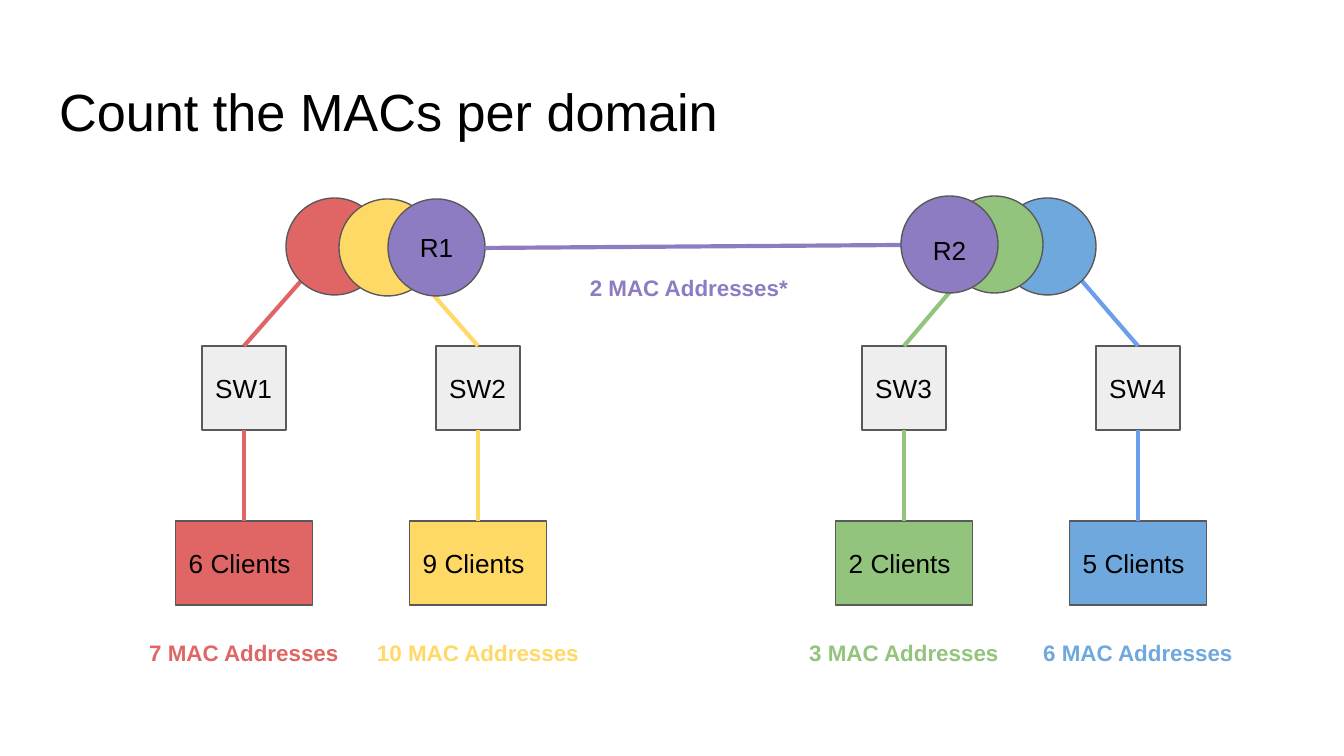
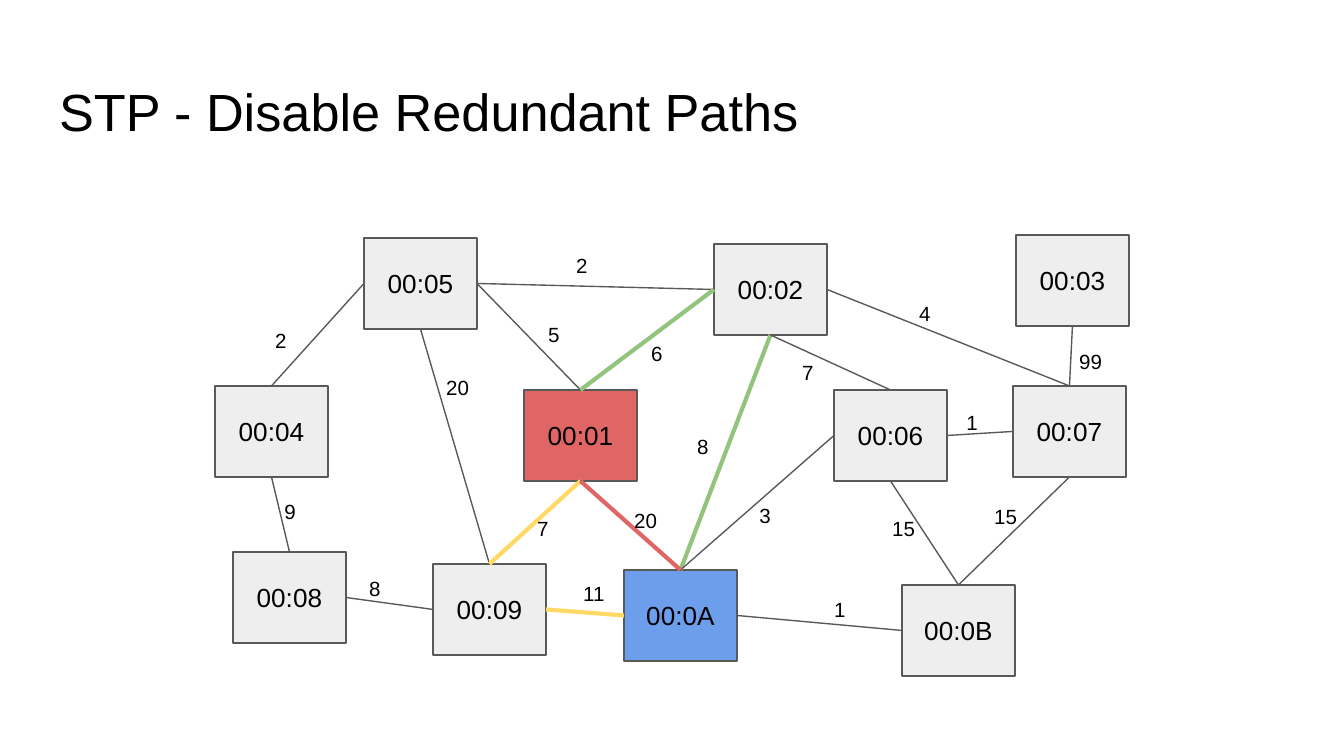
"""Build two network slides: MAC counts per domain and redundant spanning tree paths."""
import dataclasses

import lxml.etree
import pptx
import pptx.dml.color
import pptx.enum.shapes
import pptx.enum.text
import pptx.oxml.ns
import pptx.util


@dataclasses.dataclass(frozen=True)
class Theme:
    font: str = "Arial"
    text: str = "000000"
    outline: str = "595959"
    node: str = "EEEEEE"
    red: str = "E06666"
    yellow: str = "FFD966"
    green: str = "93C47D"
    blue: str = "6FA8DC"
    bright_blue: str = "6D9EEB"
    purple: str = "8E7CC3"
    title_pt: int = 28
    node_pt: int = 14
    count_pt: int = 12
    cost_pt: int = 11
    thin: float = 0.75
    thick: float = 2.25


T = Theme()
SHAPE = pptx.enum.shapes.MSO_SHAPE
ANCHOR = pptx.enum.text.MSO_ANCHOR
ALIGN = pptx.enum.text.PP_ALIGN
SIZE = (1344, 756)
TITLE_BOX = (46, 66, 1253, 85)
INSET = 13.44

MAC_TITLE = "Count the MACs per domain"
BRANCHES = [
    ("SW1", "6 Clients", "7 MAC Addresses", 244, (301, 281), T.red, T.red),
    ("SW2", "9 Clients", "10 MAC Addresses", 478, (422, 282), T.yellow, T.yellow),
    ("SW3", "2 Clients", "3 MAC Addresses", 904, (960, 280), T.green, T.green),
    ("SW4", "5 Clients", "6 MAC Addresses", 1138, (1082, 281), T.blue, T.bright_blue),
]
PORTS = [
    ("", 286, 198, T.red, ANCHOR.MIDDLE),
    ("", 339, 199, T.yellow, ANCHOR.MIDDLE),
    ("", 999, 198, T.blue, ANCHOR.MIDDLE),
    ("", 946, 196, T.green, ANCHOR.MIDDLE),
    ("R1", 388, 199, T.purple, ANCHOR.MIDDLE),
    ("R2", 901, 196, T.purple, ANCHOR.BOTTOM),
]
PORT_SIZE = 97
ROUTER_LINK = ((486, 248), (901, 245))
ROUTER_COUNT = ("2 MAC Addresses*", 570, 261)
SWITCH_TOP, SWITCH_SIZE = 346, 84
CLIENT_TOP, CLIENT_W, CLIENT_H = 521, 137, 84
COUNT_TOP, COUNT_W, COUNT_H = 626, 238, 56

STP_TITLE = "STP - Disable Redundant Paths"
NODE_W, NODE_H = 113, 91
NODES = {
    "00:05": (364, 238), "00:04": (215, 386), "00:01": (524, 390),
    "00:09": (433, 564), "00:0A": (624, 570), "00:02": (714, 244),
    "00:06": (834, 390), "00:0B": (902, 585), "00:07": (1013, 386),
    "00:08": (233, 552), "00:03": (1016, 235),
}
NODE_FILLS = {"00:01": T.red, "00:0A": T.bright_blue}
TOP, LEFT, BOTTOM, RIGHT = range(4)
COST_W, COST_H = 54, 38
LINKS = [
    ("00:04", TOP, "00:05", LEFT, "2", 262, 316, None),
    ("00:09", TOP, "00:05", BOTTOM, "20", 433, 363, None),
    ("00:05", RIGHT, "00:02", LEFT, "2", 563, 241, None),
    ("00:01", BOTTOM, "00:09", TOP, "7", 524, 504, T.yellow),
    ("00:01", TOP, "00:05", RIGHT, "5", 535, 310, None),
    ("00:02", BOTTOM, "00:0A", TOP, "8", 684, 422, T.green),
    ("00:02", RIGHT, "00:07", TOP, "4", 906, 289, None),
    ("00:06", RIGHT, "00:07", LEFT, "1", 953, 398, None),
    ("00:02", BOTTOM, "00:06", TOP, "7", 789, 348, None),
    ("00:0A", RIGHT, "00:0B", LEFT, "1", 821, 585, None),
    ("00:0B", TOP, "00:07", BOTTOM, "15", 981, 492, None),
    ("00:08", RIGHT, "00:09", LEFT, "8", 356, 564, None),
    ("00:08", TOP, "00:04", BOTTOM, "9", 271, 487, None),
    ("00:03", BOTTOM, "00:07", TOP, "99", 1066, 337, None),
    ("00:06", BOTTOM, "00:0B", TOP, "15", 879, 504, None),
    ("00:06", LEFT, "00:0A", TOP, "3", 746, 491, None),
    ("00:01", TOP, "00:02", LEFT, "6", 638, 329, T.green),
    ("00:09", RIGHT, "00:0A", LEFT, "11", 570, 569, T.yellow),
    ("00:01", BOTTOM, "00:0A", TOP, "20", 621, 496, T.red),
]


def px(value):
    return pptx.util.Emu(round(value * 914400 / 134.4))


def rgb(value):
    return pptx.dml.color.RGBColor.from_string(value)


def write(sp, text, size, color=T.text, bold=False, align=ALIGN.LEFT, anchor=ANCHOR.TOP):
    tf = sp.text_frame
    tf.word_wrap = True
    tf.vertical_anchor = anchor
    tf.margin_left = tf.margin_right = tf.margin_top = tf.margin_bottom = px(INSET)
    p = tf.paragraphs[0]
    p.text = text
    p.alignment = align
    for r in p.runs:
        r.font.name = T.font
        r.font.size = pptx.util.Pt(size)
        r.font.bold = bold
        r.font.color.rgb = rgb(color)


def add_text(s, box, text, size, **style):
    write(s.shapes.add_textbox(*map(px, box)), text, size, **style)


def add_node(s, kind, box, fill, text="", align=ALIGN.CENTER, anchor=ANCHOR.MIDDLE):
    sp = s.shapes.add_shape(kind, *map(px, box))
    sp.shadow.inherit = False
    sp.fill.solid()
    sp.fill.fore_color.rgb = rgb(fill)
    sp.line.color.rgb = rgb(T.outline)
    sp.line.width = pptx.util.Pt(T.thin)
    if text:
        write(sp, text, T.node_pt, align=align, anchor=anchor)
    return sp


def add_link(s, color, width, start=(0, 0), end=(0, 0), begin_at=None, end_at=None):
    c = s.shapes.add_connector(
        pptx.enum.shapes.MSO_CONNECTOR.STRAIGHT, *map(px, start + end))
    if begin_at:
        c.begin_connect(*begin_at)
    if end_at:
        c.end_connect(*end_at)
    c.line.color.rgb = rgb(color)
    c.line.width = pptx.util.Pt(width)
    lxml.etree.SubElement(c._element.spPr, pptx.oxml.ns.qn("a:effectLst"))


def add_slide(prs, title):
    s = prs.slides.add_slide(prs.slide_layouts[6])
    add_text(s, TITLE_BOX, title, T.title_pt)
    return s


def add_count(s, text, left, top, color):
    add_text(s, (left, top, COUNT_W, COUNT_H), text, T.count_pt,
             color=color, bold=True, align=ALIGN.CENTER)


def build_mac_slide(prs):
    s = add_slide(prs, MAC_TITLE)
    for name, clients, count, x, port, fill, line in BRANCHES:
        switch = add_node(
            s, SHAPE.RECTANGLE,
            (x - SWITCH_SIZE / 2, SWITCH_TOP, SWITCH_SIZE, SWITCH_SIZE),
            T.node, name, ALIGN.LEFT)
        client = add_node(
            s, SHAPE.RECTANGLE, (x - CLIENT_W / 2, CLIENT_TOP, CLIENT_W, CLIENT_H),
            fill, clients, ALIGN.LEFT)
        add_link(s, line, T.thick, begin_at=(client, TOP), end_at=(switch, BOTTOM))
        add_link(s, line, T.thick, end=port, begin_at=(switch, TOP))
        add_count(s, count, x - COUNT_W / 2, COUNT_TOP, fill)
    add_link(s, T.purple, T.thick, *ROUTER_LINK)
    for name, left, top, fill, anchor in PORTS:
        add_node(s, SHAPE.OVAL, (left, top, PORT_SIZE, PORT_SIZE), fill, name,
                 anchor=anchor)
    add_count(s, *ROUTER_COUNT, T.purple)


def build_stp_slide(prs):
    s = add_slide(prs, STP_TITLE)
    nodes = {
        name: add_node(s, SHAPE.RECTANGLE, (*corner, NODE_W, NODE_H),
                       NODE_FILLS.get(name, T.node), name)
        for name, corner in NODES.items()
    }
    for a, a_side, b, b_side, cost, left, top, color in LINKS:
        add_link(s, color or T.outline, T.thick if color else T.thin,
                 begin_at=(nodes[a], a_side), end_at=(nodes[b], b_side))
        add_text(s, (left, top, COST_W, COST_H), cost, T.cost_pt)


def main():
    prs = pptx.Presentation()
    prs.slide_width, prs.slide_height = map(px, SIZE)
    build_mac_slide(prs)
    build_stp_slide(prs)
    prs.save("out.pptx")


main()
